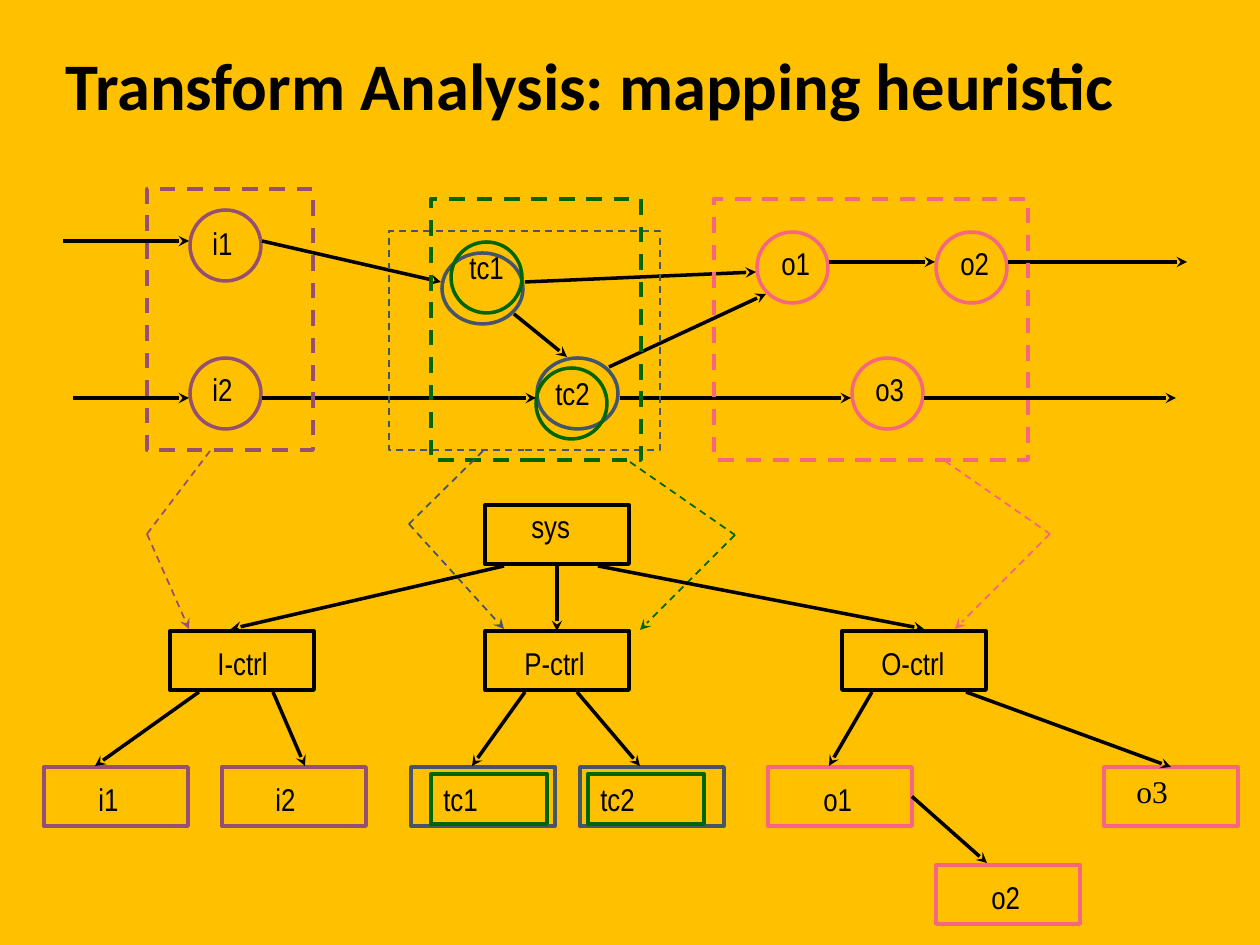
from lxml.etree import SubElement
from pptx import Presentation
from pptx.dml.color import RGBColor
from pptx.enum.dml import MSO_LINE
from pptx.enum.shapes import MSO_CONNECTOR, MSO_SHAPE
from pptx.enum.text import MSO_ANCHOR, MSO_AUTO_SIZE, PP_ALIGN
from pptx.oxml.ns import qn
from pptx.util import Pt

SCALE = 914400 / 126
HUES = {"ground": "FFC000", "black": "000000", "plum": "954F72",
        "slate": "44546A", "pink": "F76681", "green": "006600"}

NODES = [(190, 210, 71, "plum"), (190, 358, 71, "plum"),
         (442, 253, 81, "slate"), (537, 358, 81, "slate"),
         (757, 232, 71, "pink"), (852, 358, 71, "pink"),
         (936, 232, 71, "pink"), (451, 242, 71, "green"),
         (536, 368, 71, "green")]
FLOWS = [(63, 241, 189, 241), (262, 241, 441, 282), (73, 398, 189, 398),
         (262, 398, 536, 398), (514, 314, 567, 357), (525, 282, 756, 272),
         (620, 398, 851, 398), (609, 367, 766, 294), (829, 262, 935, 262),
         (1008, 262, 1187, 262), (924, 398, 1176, 398)]
BOXES = {"sys": (485, 505, 144, "black", 2.25),
         "I-ctrl": (170, 631, 144, "black", 2.25),
         "P-ctrl": (485, 631, 144, "black", 2.25),
         "O-ctrl": (842, 631, 144, "black", 2.25),
         "i1": (44, 767, 144, "plum", 2.25),
         "i2": (222, 767, 144, "plum", 2.25),
         "tc1": (411, 767, 144, "slate", 2),
         "tc2": (580, 767, 144, "slate", 2),
         "o1": (768, 767, 144, "pink", 2.25),
         "o2": (936, 865, 144, "pink", 2.25),
         "o3": (1104, 767, 134, "pink", 2)}
CALLS = [(504, 566, 231, 629, None, None),
         (557, 566, 557, 629, ("sys", 2), ("P-ctrl", 0)),
         (598, 566, 924, 629, None, None),
         (199, 692, 95, 766, None, None),
         (273, 692, 305, 766, None, None),
         (525, 692, 472, 766, None, None),
         (577, 692, 640, 766, None, None),
         (872, 692, 829, 766, None, None),
         (914, 790, 987, 863, ("o1", 3), None),
         (966, 692, 1166, 766, None, ("o3", 0))]
ZONES = [(147, 189, 166, 261, "plum", 2.25),
         (389, 231, 271, 219, "slate", 1),
         (714, 199, 314, 261, "pink", 2.25),
         (431, 199, 210, 261, "green", 2.25)]
BENDS = [("plum", (210, 451), (147, 534), (189, 629)),
         ("slate", (483, 451), (409, 524), (504, 629)),
         ("pink", (945, 461), (1050, 534), (955, 629)),
         ("green", (630, 462), (735, 535), (640, 630))]
LABELS = [("i1", 200, 218, 45), ("i2", 200, 364, 45), ("tc1", 457, 242, 60),
          ("tc2", 543, 368, 60), ("o1", 769, 238, 54), ("o2", 948, 238, 54),
          ("o3", 863, 364, 54), ("sys", 519, 501, 64),
          ("I-ctrl", 205, 638, 76), ("P-ctrl", 512, 638, 86),
          ("O-ctrl", 869, 638, 88), ("i1", 86, 774, 45),
          ("i2", 263, 774, 45), ("o1", 811, 774, 54), ("o2", 979, 872, 54)]


def px(*nums):
    """Turn px lengths into EMU."""
    return [round(num * SCALE) for num in nums]


def tint(name):
    """Return the named colour."""
    return RGBColor.from_string(HUES[name])


def stroke(line, hue, width, dash=False):
    """Set the colour, width and dash of a line."""
    line.color.rgb = tint(hue)
    line.width = Pt(width)
    if dash:
        line.dash_style = MSO_LINE.DASH


def write(frame, text, font="Arial Narrow", size=18, bold=False):
    """Write one left-aligned run into a text frame."""
    para = frame.paragraphs[0]
    para.alignment = PP_ALIGN.LEFT
    run = para.add_run()
    run.text = text
    run.font.name, run.font.size, run.font.bold = font, Pt(size), bold
    run.font.color.rgb = tint("black")
    return para


def shape(slide, kind, spot, hue, width, dash=False):
    """Add an unfilled outline shape."""
    item = slide.shapes.add_shape(kind, *px(*spot))
    item.shadow.inherit = False
    item.fill.background()
    stroke(item.line, hue, width, dash)
    return item


def label(slide, text, spot, wrap=False, font="Arial Narrow"):
    """Add a text box that fits its text."""
    frame = slide.shapes.add_textbox(*px(*spot)).text_frame
    frame.word_wrap = wrap
    frame.auto_size = MSO_AUTO_SIZE.SHAPE_TO_FIT_TEXT
    write(frame, text, font)


def link(slide, ends, hue="black", width=2, dash=False, head=True):
    """Add a straight line, with an arrowhead if asked."""
    item = slide.shapes.add_connector(MSO_CONNECTOR.STRAIGHT, *px(*ends))
    stroke(item.line, hue, width, dash)
    if head:
        SubElement(item.line._get_or_add_ln(), qn("a:tailEnd"), type="stealth")
    SubElement(item._element.spPr, qn("a:effectLst"))
    return item


def title(slide, text):
    """Place and fill the title."""
    item = slide.shapes.title
    item.left, item.top, item.width, item.height = px(53, 10, 1102, 158)
    frame = item.text_frame
    frame.vertical_anchor = MSO_ANCHOR.MIDDLE
    frame.auto_size = MSO_AUTO_SIZE.NONE
    write(frame, text, "Calibri", 38, True).line_spacing = 0.9


def graph(slide):
    """Draw the data flow graph and its dashed zones."""
    for x, y, wide, hue in NODES:
        shape(slide, MSO_SHAPE.OVAL, (x, y, wide, 71), hue, 2)
    for ends in FLOWS:
        link(slide, ends)
    for *spot, hue, width in ZONES:
        shape(slide, MSO_SHAPE.RECTANGLE, spot, hue, width, True)
    for hue, start, turn, end in BENDS:
        link(slide, start + turn, hue, 1, True, False)
        link(slide, turn + end, hue, 1, True)


def tree(slide):
    """Draw the module tree."""
    rects = {}
    for name, (x, y, wide, hue, width) in BOXES.items():
        rects[name] = shape(slide, MSO_SHAPE.RECTANGLE, (x, y, wide, 59),
                            hue, width)
    for text, x in (("tc1", 431), ("tc2", 588)):
        item = shape(slide, MSO_SHAPE.RECTANGLE, (x, 774, 116, 50),
                     "green", 2.25)
        item.text_frame.vertical_anchor = MSO_ANCHOR.TOP
        write(item.text_frame, text)
    for *ends, first, last in CALLS:
        item = link(slide, ends)
        if first:
            item.begin_connect(rects[first[0]], first[1])
        if last:
            item.end_connect(rects[last[0]], last[1])


def main():
    """Build and save the slide."""
    deck = Presentation()
    deck.slide_width, deck.slide_height = px(1260, 945)
    slide = deck.slides.add_slide(deck.slide_layouts[5])
    fill = slide.background.fill
    fill.solid()
    fill.fore_color.rgb = tint("ground")
    title(slide, "Transform Analysis: mapping heuristic")
    graph(slide)
    tree(slide)
    for text, x, y, wide in LABELS:
        label(slide, text, (x, y, wide, 50))
    label(slide, "o3", (1124, 766, 73, 50), True, "Times New Roman")
    deck.save("out.pptx")


if __name__ == "__main__":
    main()
